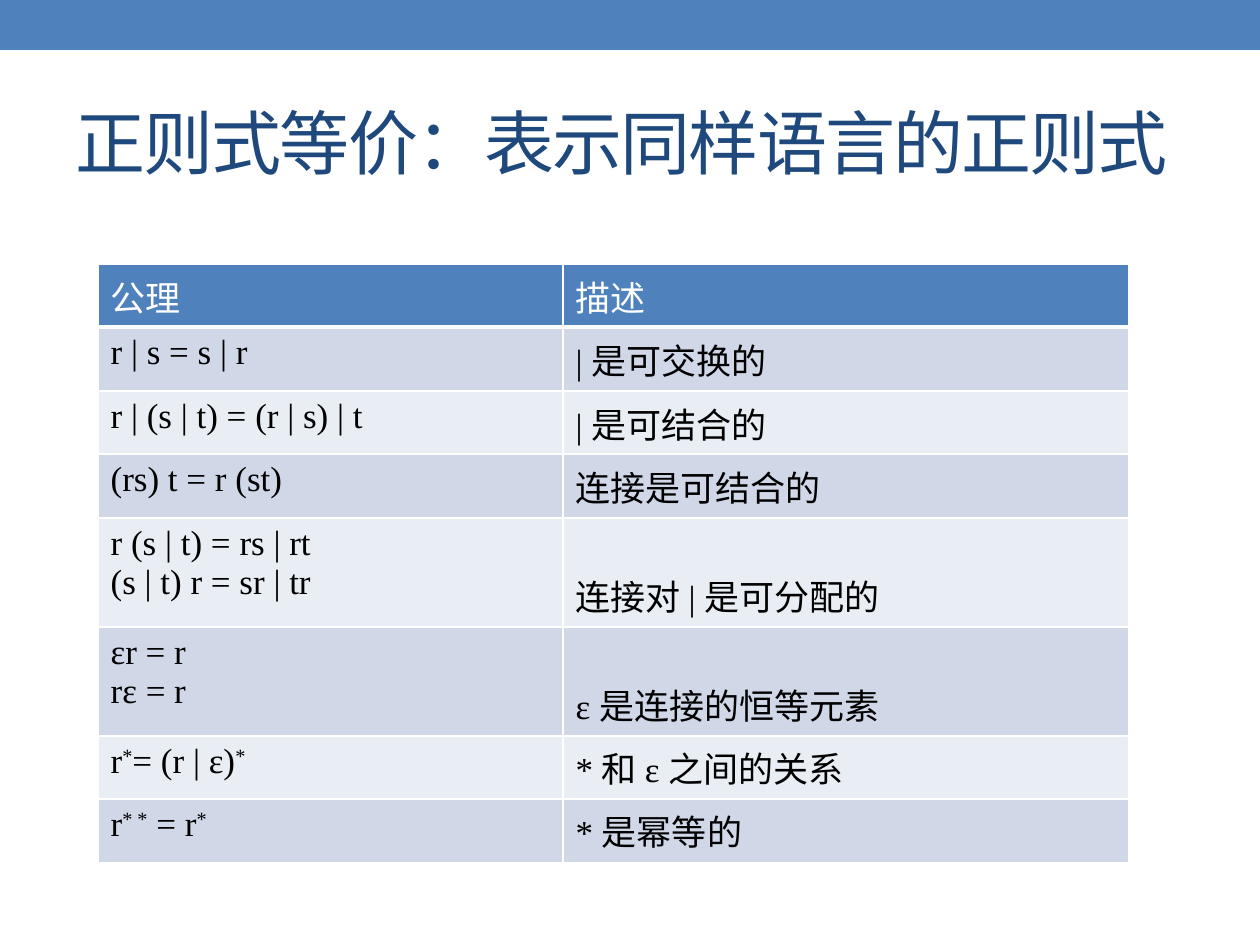
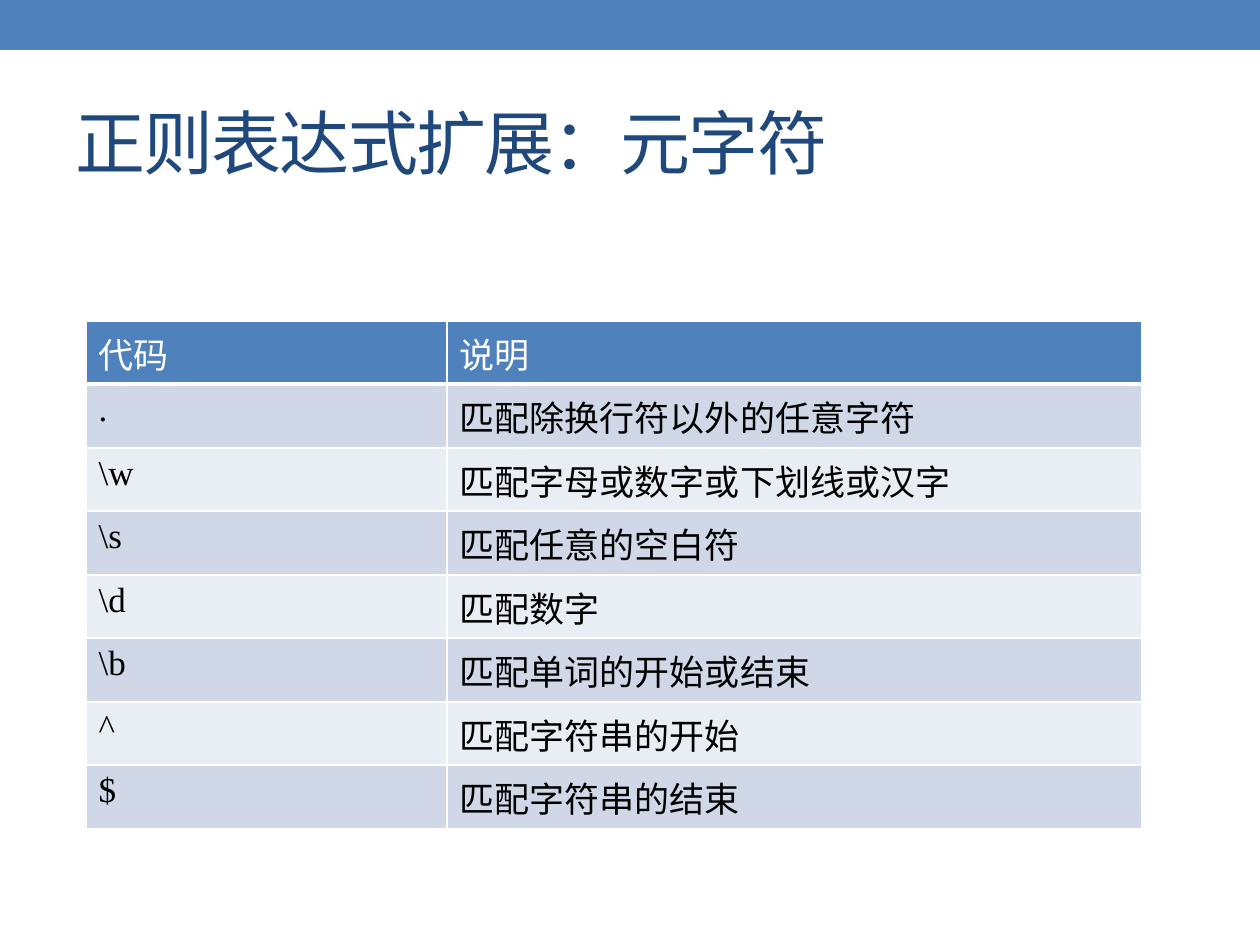
import pptx
import pptx.util
import pptx.dml.color
import pptx.enum.shapes
import pptx.enum.text
import pptx.oxml
import pptx.oxml.ns

rgb = pptx.dml.color.RGBColor.from_string
noto = "Noto Sans CJK SC"
times = "Times New Roman"
theme = {
    "blue": rgb("4F81BD"),
    "bands": [rgb("E9EDF4"), rgb("D0D8E8")],
    "rule": "FFFFFF",
    "title": {"size": pptx.util.Pt(40), "color": rgb("1F497D")},
    "head": {"size": pptx.util.Pt(20), "bold": False, "color": rgb("FFFFFF")},
    "body": {"size": pptx.util.Pt(20), "bold": False, "color": rgb("000000"), "name": times},
}

pages = [
    {
        "title": "正则式等价：表示同样语言的正则式",
        "font": noto,
        "place": (98, 264),
        "cols": (465, 566),
        "rows": [
            ("公理", "描述"),
            ("r | s = s | r", "| 是可交换的"),
            ("r | (s | t) = (r | s) | t", "| 是可结合的"),
            ("(rs) t = r (st)", "连接是可结合的"),
            ("r (s | t) = rs | rt\n(s | t) r = sr | tr", "连接对 | 是可分配的"),
            ("εr = r\nrε = r", "ε 是连接的恒等元素"),
            ("r~*~= (r | ε)~*", "* 和 ε 之间的关系"),
            ("r~* *~ = r~*", "* 是幂等的"),
        ],
    },
    {
        "title": "正则表达式扩展：元字符",
        "font": times,
        "place": (86, 321),
        "cols": (361, 695),
        "rows": [
            ("代码", "说明"),
            (".", "匹配除换行符以外的任意字符"),
            ("\\w", "匹配字母或数字或下划线或汉字"),
            ("\\s", "匹配任意的空白符"),
            ("\\d", "匹配数字"),
            ("\\b", "匹配单词的开始或结束"),
            ("^", "匹配字符串的开始"),
            ("$", "匹配字符串的结束"),
        ],
    },
]
low, tall = 63, 109


def px(count):
    return pptx.util.Emu(round(count * 914400 / 126))


def style(font, values):
    for key, value in values.items():
        if key == "color":
            font.color.rgb = value
        else:
            setattr(font, key, value)


deck = pptx.Presentation()
deck.slide_width, deck.slide_height = px(1260), px(945)

for page in pages:
    slide = deck.slides.add_slide(deck.slide_layouts[6])

    band = slide.shapes.add_shape(
        pptx.enum.shapes.MSO_SHAPE.RECTANGLE, 0, 0, px(1260), px(50))
    band.shadow.inherit = False
    band.fill.solid()
    band.fill.fore_color.rgb = theme["blue"]
    band.line.fill.background()

    frame = slide.shapes.add_textbox(px(63), px(73), px(1134), px(136)).text_frame
    frame.word_wrap = True
    frame.vertical_anchor = pptx.enum.text.MSO_ANCHOR.MIDDLE
    run = frame.paragraphs[0].add_run()
    run.text = page["title"]
    style(run.font, theme["title"] | {"name": page["font"]})
    run._r.get_or_add_rPr().set("spc", "-100")

    rows, cols = page["rows"], page["cols"]
    highs = [tall if "\n" in row[0] else low + r % 2 for r, row in enumerate(rows)]
    left, top = page["place"]
    table = slide.shapes.add_table(
        len(rows), len(cols), px(left), px(top), px(sum(cols)), px(sum(highs))).table
    for col, width in zip(table.columns, cols):
        col.width = px(width)

    for r, row in enumerate(rows):
        table.rows[r].height = px(highs[r])
        for c, text in enumerate(row):
            cell = table.cell(r, c)
            props = cell._tc.get_or_add_tcPr()
            for side in "LRTB":
                thick = 3 if (r, side) in ((0, "B"), (1, "T")) else 1
                props.append(pptx.oxml.parse_xml(
                    f'<a:ln{side} {pptx.oxml.ns.nsdecls("a")} w="{thick * 12700}">'
                    f'<a:solidFill><a:srgbClr val="{theme["rule"]}"/></a:solidFill>'
                    f'</a:ln{side}>'))
            cell.fill.solid()
            cell.fill.fore_color.rgb = theme["bands"][r % 2] if r else theme["blue"]

            look = theme["body"] if r else theme["head"] | {"name": page["font"]}
            for n, line in enumerate(text.split("\n")):
                para = cell.text_frame.paragraphs[0] if n == 0 else cell.text_frame.add_paragraph()
                if c == 1 and "\n" in row[0]:
                    para.line_spacing = 1.9
                for k, part in enumerate(line.split("~")):
                    run = para.add_run()
                    run.text = part
                    style(run.font, look)
                    if k % 2:
                        run._r.get_or_add_rPr().set("baseline", "30000")

deck.save("out.pptx")
